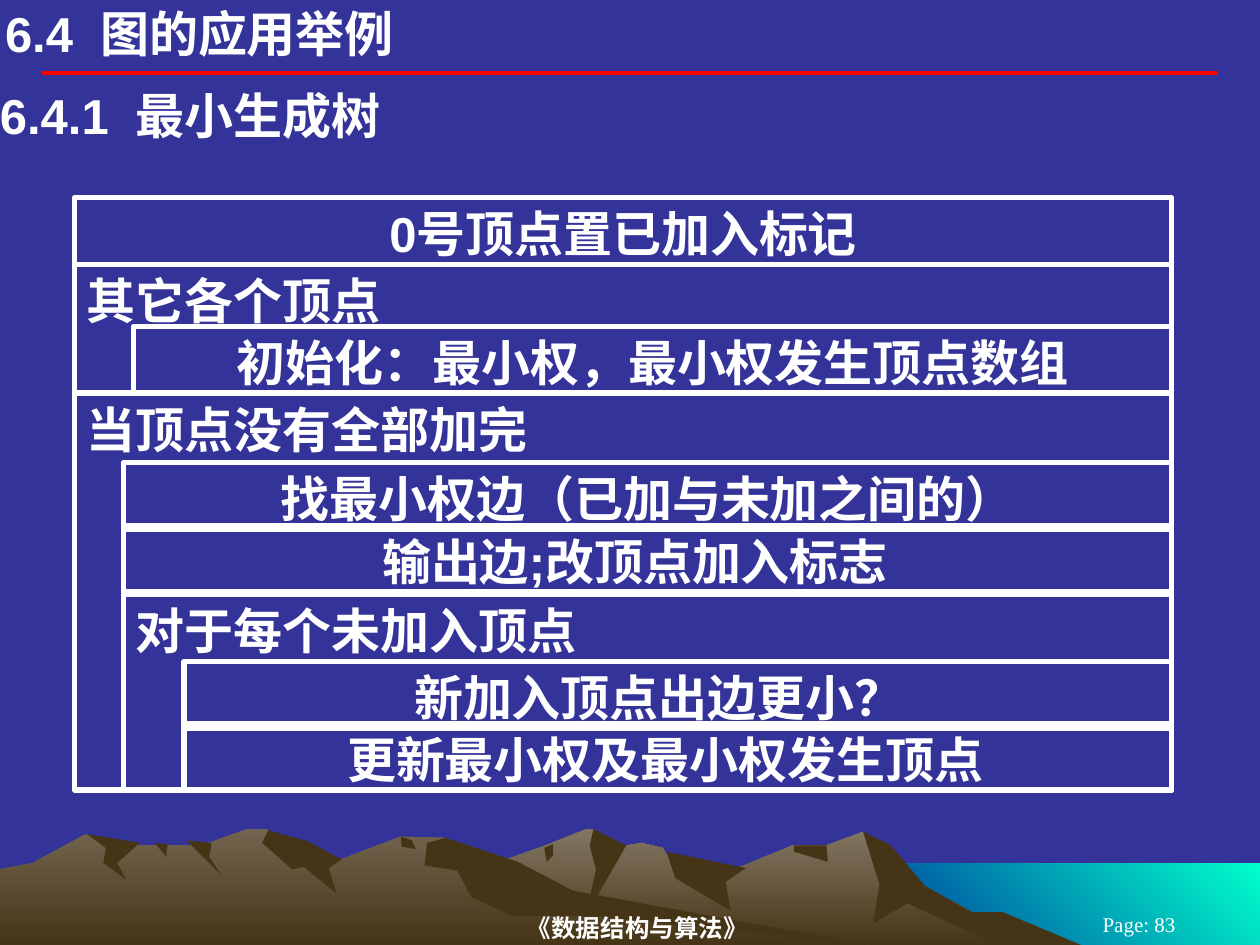
"""Build the minimum spanning tree slide with its nested box chart."""
from typing import NamedTuple

from lxml.etree import SubElement
from pptx import Presentation
from pptx.dml.color import RGBColor
from pptx.enum.shapes import MSO_CONNECTOR, MSO_SHAPE
from pptx.enum.text import MSO_ANCHOR, PP_ALIGN
from pptx.oxml.ns import qn
from pptx.util import Inches, Pt

NAVY = RGBColor(0x33, 0x33, 0x99)
WHITE = RGBColor(0xFF, 0xFF, 0xFF)
RED = RGBColor(0xFF, 0x00, 0x00)
DARK = RGBColor(0x46, 0x34, 0x16)
ROCK = RGBColor(0x83, 0x77, 0x63)
EARTH = RGBColor(0x72, 0x64, 0x4E)
AQUA = RGBColor(0x00, 0xFF, 0xCC)
DEEP = RGBColor(0x00, 0x33, 0x99)

RIGHT = 9.3
ROW = 0.53
BASE = 6.27
OUTER, INNER, CORE = 0.59, 0.98, 1.46


class Patch(NamedTuple):
    """Outline in inches, filled flat or from top to end."""
    points: list
    top: RGBColor = DARK
    end: RGBColor = DARK
    angle: int = 270


class Step(NamedTuple):
    """Box of the chart that reaches to the common right edge."""
    text: str
    left: float
    top: float
    height: float = ROW
    align: PP_ALIGN = PP_ALIGN.CENTER
    inset: float = 0.1


class Label(NamedTuple):
    """Free text with its place and font."""
    text: str
    left: float
    top: float
    width: float
    height: float
    size: int = 28
    face: str = "Arial"
    bold: bool = True
    align: PP_ALIGN = PP_ALIGN.LEFT
    anchor: MSO_ANCHOR = MSO_ANCHOR.TOP


PATCHES = [
    Patch([(10, 7.5), (6.83, 7.5), (6.83, 6.85), (10, 6.85)], AQUA, DEEP, 225),
    Patch([(8.2, 7.5), (7.23, 6.98), (6.85, 6.6), (6.56, 6.71), (6.29, 6.71),
           (5.66, 6.97), (5.36, 6.9), (5.26, 6.73), (5.09, 6.69), (4.86, 6.73),
           (4.71, 6.58), (4.65, 6.58), (4.33, 6.71), (3.27, 7.09), (2.58, 7.5)], ROCK),
    Patch([(7.96, 7.24), (7.71, 7.24), (7.34, 7.03), (7.07, 6.71), (6.85, 6.6),
           (6.98, 7.02), (6.93, 7.33), (7.2, 7.17), (7.92, 7.5), (8.58, 7.5)]),
    Patch([(4.71, 6.58), (4.68, 6.71), (4.73, 6.9), (4.65, 7.27), (4.97, 6.71)]),
    Patch([(5.29, 6.76), (5.36, 6.97), (5.8, 7.23), (5.76, 7), (5.92, 6.89)]),
    Patch([(6.3, 6.71), (6.3, 6.76), (6.57, 6.84), (6.56, 6.71)]),
    Patch([(4.32, 6.73), (4.39, 6.7), (4.39, 6.79), (4.34, 6.84)]),
    Patch([(6.9, 7.5), (4.32, 7.12), (3.54, 6.65), (3.18, 6.64), (2.71, 6.82),
           (2.36, 6.81), (2.12, 6.58), (1.96, 6.58), (1.6, 6.71), (0.94, 6.71),
           (0.68, 6.62), (0.26, 6.85), (0, 6.9), (0, 7.5)], EARTH),
    Patch([(2.13, 6.59), (2.08, 6.69), (2.32, 6.9), (2.41, 6.88), (2.67, 7.09),
           (2.61, 6.89), (2.71, 6.82), (2.45, 6.68)]),
    Patch([(3.54, 6.65), (3.39, 6.69), (3.37, 6.87), (3.63, 6.91), (3.74, 7.12),
           (4.07, 7.27), (4.72, 7.27), (6.9, 7.5), (4.55, 7.07), (4.11, 6.84)]),
    Patch([(3.18, 6.64), (3.27, 6.67), (3.3, 6.74), (3.19, 6.72)]),
    Patch([(1.48, 6.67), (1.68, 6.69), (1.66, 6.8), (1.76, 6.95)]),
    Patch([(1.23, 6.69), (1.33, 6.7), (1.32, 6.8)]),
    Patch([(0.69, 6.62), (1.11, 6.69), (0.93, 6.85), (1, 6.98), (0.82, 6.85),
           (0.84, 6.73)]),
]

STEPS = [
    Step("0号顶点置已加入标记", OUTER, 1.57),
    Step("当顶点没有全部加完", OUTER, 3.12, BASE - 3.12, PP_ALIGN.LEFT),
    Step("找最小权边（已加与未加之间的）", INNER, 3.67),
    Step("输出边;改顶点加入标志", INNER, 4.17, inset=0.3),
    Step("其它各个顶点", OUTER, 2.1, 1.02, PP_ALIGN.LEFT),
    Step("初始化：最小权，最小权发生顶点数组", 1.06, 2.59),
    Step("对于每个未加入顶点", INNER, 4.72, BASE - 4.72, PP_ALIGN.LEFT),
    Step("新加入顶点出边更小？", CORE, 5.25, inset=0.4),
    Step("更新最小权及最小权发生顶点", CORE, BASE - ROW, inset=0.3),
]

LABELS = [
    Label("《数据结构与算法》", 2.08, 7.22, 5.96, 0.28, 14, "Times New Roman",
          True, PP_ALIGN.CENTER, MSO_ANCHOR.MIDDLE),
    Label("Page: 83", 8.25, 7.25, 1.58, 0.17, 12, "Times New Roman",
          False, PP_ALIGN.CENTER, MSO_ANCHOR.MIDDLE),
    Label("6.4  图的应用举例", 0.04, 0.03, 6.5, 0.47),
    Label("6.4.1  最小生成树", 0, 0.68, 6.5, 0.47),
]


def write(frame, text: str, align, anchor, size=28, face="Arial", bold=True) -> None:
    """Set the text of a frame and format its run."""
    frame.text = text
    frame.word_wrap = True
    frame.vertical_anchor = anchor
    line = frame.paragraphs[0]
    line.alignment = align
    font = line.runs[0].font
    font.size, font.name, font.bold = Pt(size), face, bold
    font.color.rgb = WHITE


def draw_patch(slide, patch: Patch) -> None:
    """Draw one piece of the landscape."""
    start, *rest = [(Inches(x), Inches(y)) for x, y in patch.points]
    pen = slide.shapes.build_freeform(*start)
    pen.add_line_segments(rest, close=True)
    shape = pen.convert_to_shape()
    shape.shadow.inherit = False
    shape.line.fill.background()
    if patch.top == patch.end:
        shape.fill.solid()
        shape.fill.fore_color.rgb = patch.top
        return
    shape.fill.gradient()
    shape.fill.gradient_angle = patch.angle
    for stop, tone in zip(shape.fill.gradient_stops, (patch.top, patch.end)):
        stop.color.rgb = tone


def draw_rule(slide) -> None:
    """Draw the red line under the title."""
    rule = slide.shapes.add_connector(
        MSO_CONNECTOR.STRAIGHT, Inches(0.33), Inches(0.58), Inches(9.67), Inches(0.58))
    rule.line.color.rgb = RED
    rule.line.width = Pt(2.25)
    SubElement(rule.element.spPr, qn("a:effectLst"))


def draw_step(slide, step: Step) -> None:
    """Draw one box of the chart."""
    box = slide.shapes.add_shape(
        MSO_SHAPE.RECTANGLE, Inches(step.left), Inches(step.top),
        Inches(RIGHT - step.left), Inches(step.height))
    box.shadow.inherit = False
    box.fill.background()
    box.line.color.rgb = WHITE
    box.line.width = Pt(3)
    box.text_frame.margin_right = Inches(step.inset)
    write(box.text_frame, step.text, step.align, MSO_ANCHOR.TOP)


def draw_label(slide, label: Label) -> None:
    """Draw one free text."""
    box = slide.shapes.add_textbox(
        Inches(label.left), Inches(label.top), Inches(label.width), Inches(label.height))
    frame = box.text_frame
    frame.margin_left = frame.margin_right = frame.margin_top = frame.margin_bottom = 0
    write(frame, label.text, label.align, label.anchor, label.size, label.face, label.bold)


def main() -> None:
    """Build and save the deck."""
    deck = Presentation()
    deck.slide_width, deck.slide_height = Inches(10), Inches(7.5)
    slide = deck.slides.add_slide(deck.slide_layouts[6])
    slide.background.fill.solid()
    slide.background.fill.fore_color.rgb = NAVY
    for patch in PATCHES:
        draw_patch(slide, patch)
    draw_rule(slide)
    for step in STEPS:
        draw_step(slide, step)
    for label in LABELS:
        draw_label(slide, label)
    deck.save("out.pptx")


if __name__ == "__main__":
    main()
